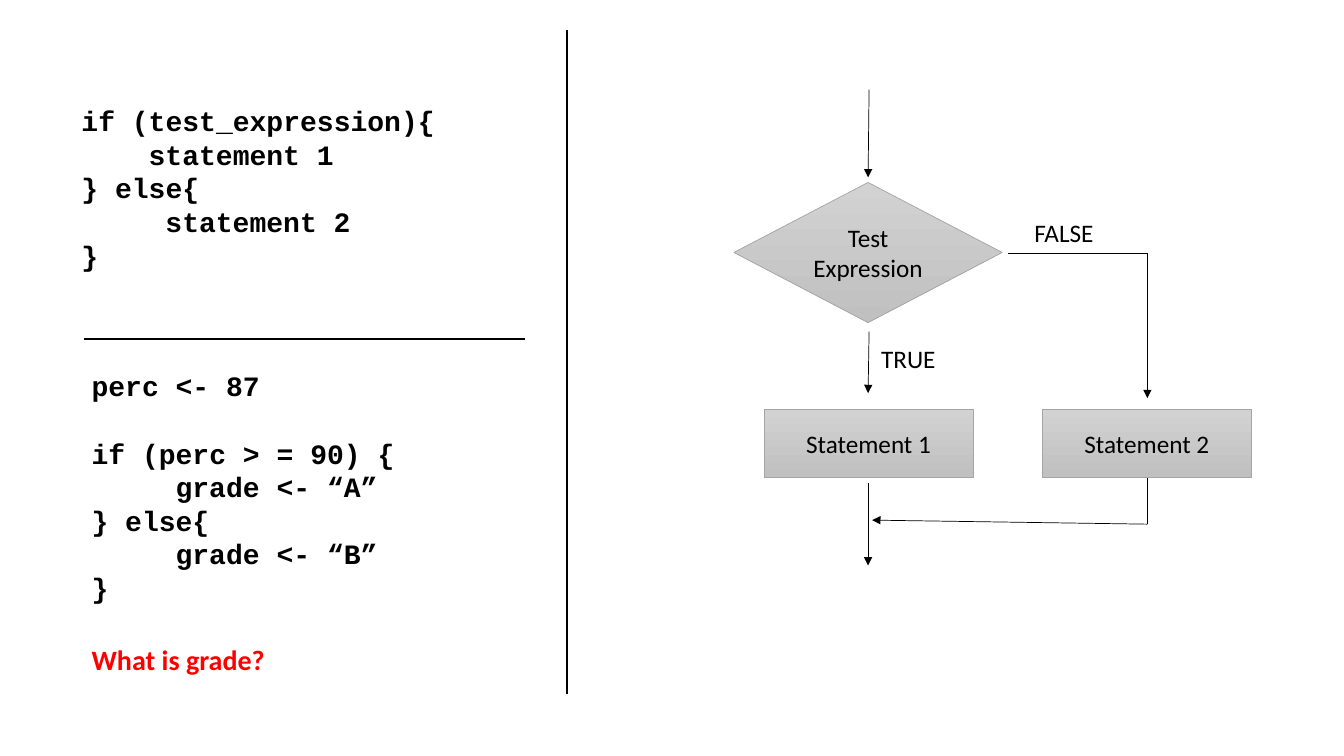
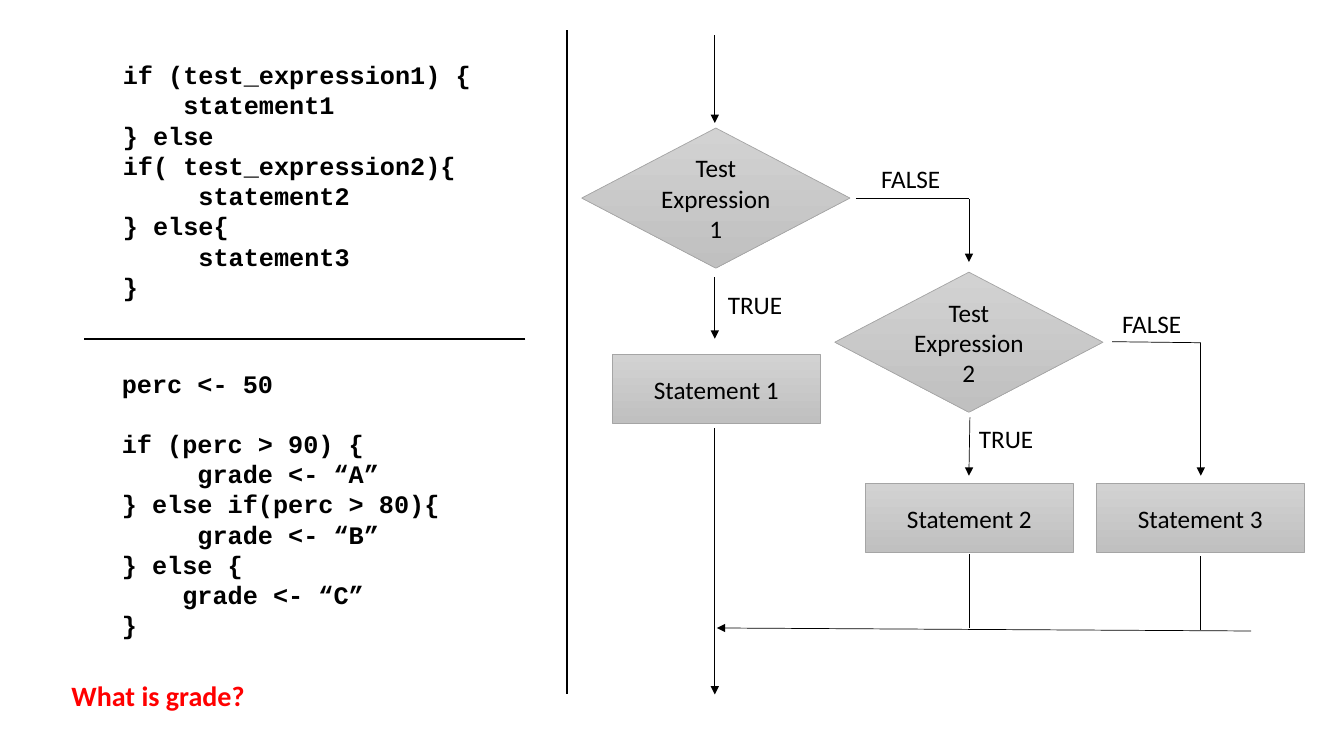
from lxml import etree
from pptx import Presentation
from pptx.dml.color import RGBColor
from pptx.enum.shapes import MSO_CONNECTOR, MSO_SHAPE
from pptx.enum.text import MSO_ANCHOR, PP_ALIGN
from pptx.oxml.ns import qn
from pptx.util import Inches, Pt

BLACK = RGBColor(0x00, 0x00, 0x00)
RED = RGBColor(0xFF, 0x00, 0x00)
EDGE = RGBColor(0xA5, 0xA5, 0xA5)
GRADIENT = (RGBColor(0xD2, 0xD2, 0xD2), RGBColor(0xC0, 0xC0, 0xC0))

STRAIGHT = MSO_CONNECTOR.STRAIGHT
RECTANGLE, DIAMOND = MSO_SHAPE.RECTANGLE, MSO_SHAPE.DIAMOND
MIDDLE, CENTER = MSO_ANCHOR.MIDDLE, PP_ALIGN.CENTER

BODY_FONT, CODE_FONT = "Calibri", "Courier New"
LINE_FACTOR = 1.2
CHAR_FACTOR = 0.6


def add_run(p, text, size=18, font=BODY_FONT, color=BLACK, bold=False):
    """Add one formatted run to a paragraph."""
    r = p.add_run()
    r.text = text
    r.font.size = Pt(size)
    r.font.name = font
    r.font.color.rgb = color
    r.font.bold = bold


def add_textbox(s, left, top, width, height, wrap=True):
    """Add an empty text box and return its text frame."""
    box = s.shapes.add_textbox(Inches(left), Inches(top), Inches(width), Inches(height))
    box.text_frame.word_wrap = wrap
    return box.text_frame


def add_code(s, left, top, width, height, size, lines, gap_before=None):
    """Add a listing of (indent in characters, text) lines."""
    tf = add_textbox(s, left, top, width, height)
    for i, (indent, text) in enumerate(lines):
        p = tf.add_paragraph() if i else tf.paragraphs[0]
        p.line_spacing = Pt(size * LINE_FACTOR)
        if i == gap_before:
            p.space_before = Pt(size * LINE_FACTOR)
        if indent:
            p._p.get_or_add_pPr().set("marL", str(Pt(indent * size * CHAR_FACTOR)))
        add_run(p, text, size, CODE_FONT, bold=True)


def add_question(s, left, top):
    """Add the red question under the example."""
    tf = add_textbox(s, left, top, 4.32, 0.44)
    add_run(tf.paragraphs[0], "What is grade?", 20, color=RED, bold=True)


def add_branch_label(s, left, top, text):
    """Add the TRUE or FALSE label of a branch."""
    tf = add_textbox(s, left, top, 0.79 if text == "FALSE" else 0.75, 0.4, wrap=False)
    add_run(tf.paragraphs[0], text)


def add_line(s, x1, y1, x2, y2, arrow=False, weight=0.5):
    """Add a straight black line, with an arrowhead at its end if asked."""
    line = s.shapes.add_connector(STRAIGHT, Inches(x1), Inches(y1), Inches(x2), Inches(y2))
    line.line.color.rgb = BLACK
    line.line.width = Pt(weight)
    if arrow:
        etree.SubElement(line.line._get_or_add_ln(), qn("a:tailEnd"), type="triangle")
    etree.SubElement(line._element.spPr, qn("a:effectLst"))


def add_node(s, kind, left, top, width, height, text):
    """Add a grey flowchart node with centred text."""
    node = s.shapes.add_shape(kind, Inches(left), Inches(top), Inches(width), Inches(height))
    node.shadow.inherit = False
    node.fill.gradient()
    node.fill.gradient_angle = 270
    for stop, color, position in zip(node.fill.gradient_stops, GRADIENT, (0, 1)):
        stop.color.rgb = color
        stop.position = position
    node.line.color.rgb = EDGE
    node.line.width = Pt(0.5)
    tf = node.text_frame
    tf.word_wrap = True
    tf.vertical_anchor = MIDDLE
    p = tf.paragraphs[0]
    p.alignment = CENTER
    add_run(p, text)


def add_statement(s, left, top, number):
    """Add a statement box."""
    add_node(s, RECTANGLE, left, top, 2.07, 0.68, f"Statement {number}")


def add_test(s, left, top, number=""):
    """Add a test diamond."""
    add_node(s, DIAMOND, left, top, 2.66, 1.39, f"Test Expression{number}")


def add_flow(s, arrows, lines):
    """Add the arrows and plain lines of a flowchart."""
    for ends in arrows:
        add_line(s, *ends, arrow=True)
    for ends in lines:
        add_line(s, *ends)


def add_split_slide(prs):
    """Add a blank slide with the two dividing lines."""
    s = prs.slides.add_slide(prs.slide_layouts[6])
    add_line(s, 5.62, 0.3, 5.62, 6.89, weight=1.5)
    add_line(s, 5.21, 3.36, 0.83, 3.36, weight=1.5)
    return s


def build_if_else(prs):
    """Build the slide on if and else."""
    s = add_split_slide(prs)
    add_code(s, 0.71, 0.98, 4.63, 1.78, 20, [
        (0, "if (test_expression){"),
        (4, "statement 1"),
        (0, "} else{"),
        (5, "statement 2"),
        (0, "}"),
    ])
    add_code(s, 0.81, 3.61, 4.29, 2.46, 20, [
        (0, "perc <- 87"),
        (0, "if (perc > = 90) {"),
        (5, "grade <- “A”"),
        (0, "} else{"),
        (5, "grade <- “B”"),
        (0, "}"),
    ], gap_before=1)
    add_question(s, 0.81, 6.32)
    add_test(s, 7.28, 1.81)
    add_statement(s, 7.58, 4.06, 1)
    add_statement(s, 10.34, 4.06, 2)
    add_branch_label(s, 8.64, 3.36, "TRUE")
    add_branch_label(s, 10.16, 2.11, "FALSE")
    add_flow(
        s,
        arrows=[
            (8.62, 0.89, 8.61, 1.76),
            (8.62, 3.29, 8.61, 3.9),
            (8.61, 4.79, 8.61, 5.61),
            (11.38, 2.51, 11.38, 3.95),
            (11.38, 5.2, 8.65, 5.16),
        ],
        lines=[(10, 2.51, 11.38, 2.51), (11.38, 4.74, 11.38, 5.2)],
    )


def build_else_if(prs):
    """Build the slide on else if."""
    s = add_split_slide(prs)
    add_code(s, 1.12, 0.54, 3.94, 2.52, 18, [
        (0, "if (test_expression1) {"),
        (4, "statement1"),
        (0, "} else if( test_expression2){"),
        (5, "statement2"),
        (0, "} else{"),
        (5, "statement3"),
        (0, "}"),
    ])
    add_code(s, 1.11, 3.6, 4.25, 2.83, 18, [
        (0, "perc <- 50"),
        (0, "if (perc > 90) {"),
        (5, "grade <- “A”"),
        (0, "} else if(perc > 80){"),
        (5, "grade <- “B”"),
        (0, "} else {"),
        (4, "grade <- “C”"),
        (0, "}"),
    ], gap_before=1)
    add_question(s, 0.61, 6.68)
    add_test(s, 5.77, 1.27, 1)
    add_test(s, 8.28, 2.7, 2)
    add_statement(s, 6.07, 3.52, 1)
    add_statement(s, 8.58, 4.8, 2)
    add_statement(s, 10.87, 4.8, 3)
    add_branch_label(s, 7.12, 2.82, "TRUE")
    add_branch_label(s, 9.61, 4.15, "TRUE")
    add_branch_label(s, 8.64, 1.57, "FALSE")
    add_branch_label(s, 11.03, 3.01, "FALSE")
    add_flow(
        s,
        arrows=[
            (7.09, 0.35, 7.09, 1.22),
            (7.09, 2.75, 7.09, 3.36),
            (7.09, 4.25, 7.09, 6.89),
            (9.61, 1.97, 9.61, 2.6),
            (9.62, 4.14, 9.61, 4.72),
            (11.91, 3.4, 11.91, 4.72),
            (12.41, 6.26, 7.11, 6.23),
        ],
        lines=[
            (8.49, 1.97, 9.61, 1.97),
            (11.03, 3.39, 11.91, 3.4),
            (9.61, 5.5, 9.61, 6.23),
            (11.91, 5.52, 11.91, 6.25),
        ],
    )


def main():
    """Build and save the presentation."""
    prs = Presentation()
    prs.slide_width = Inches(13.33)
    prs.slide_height = Inches(7.5)
    build_if_else(prs)
    build_else_if(prs)
    prs.save("out.pptx")


main()
